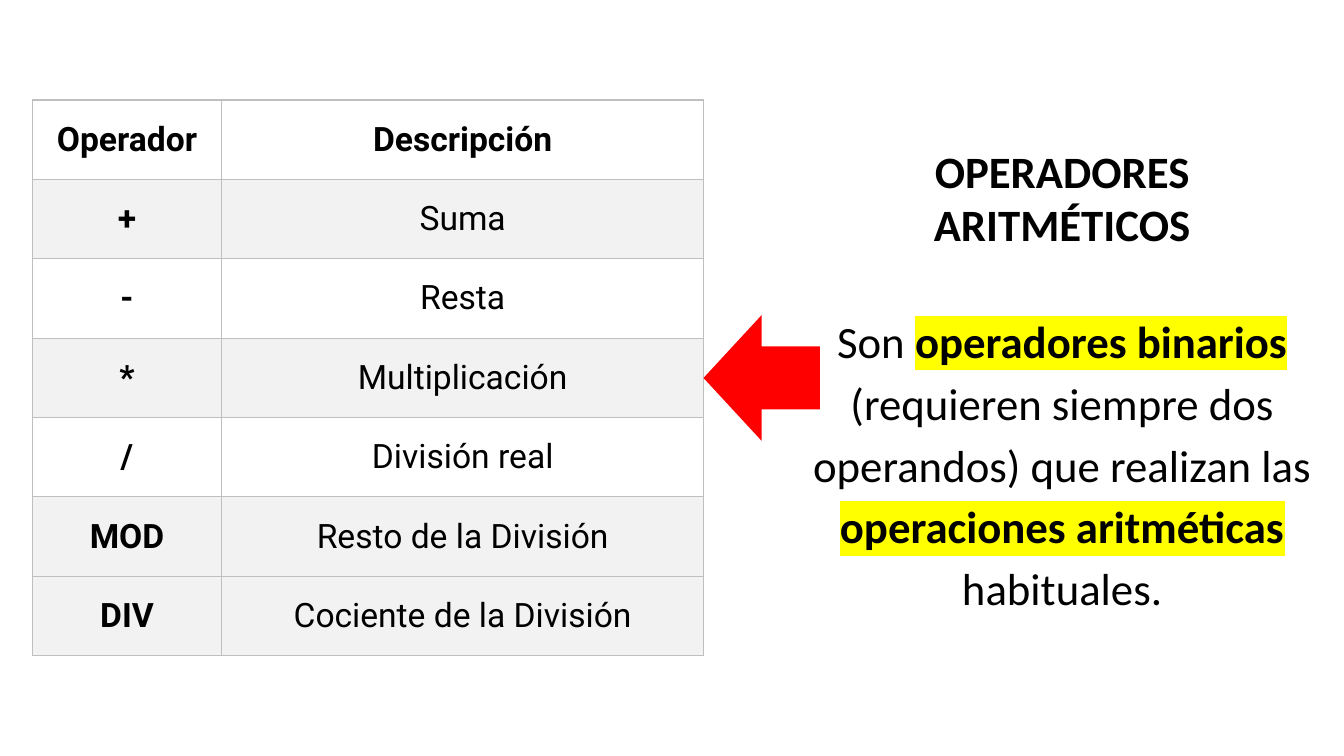
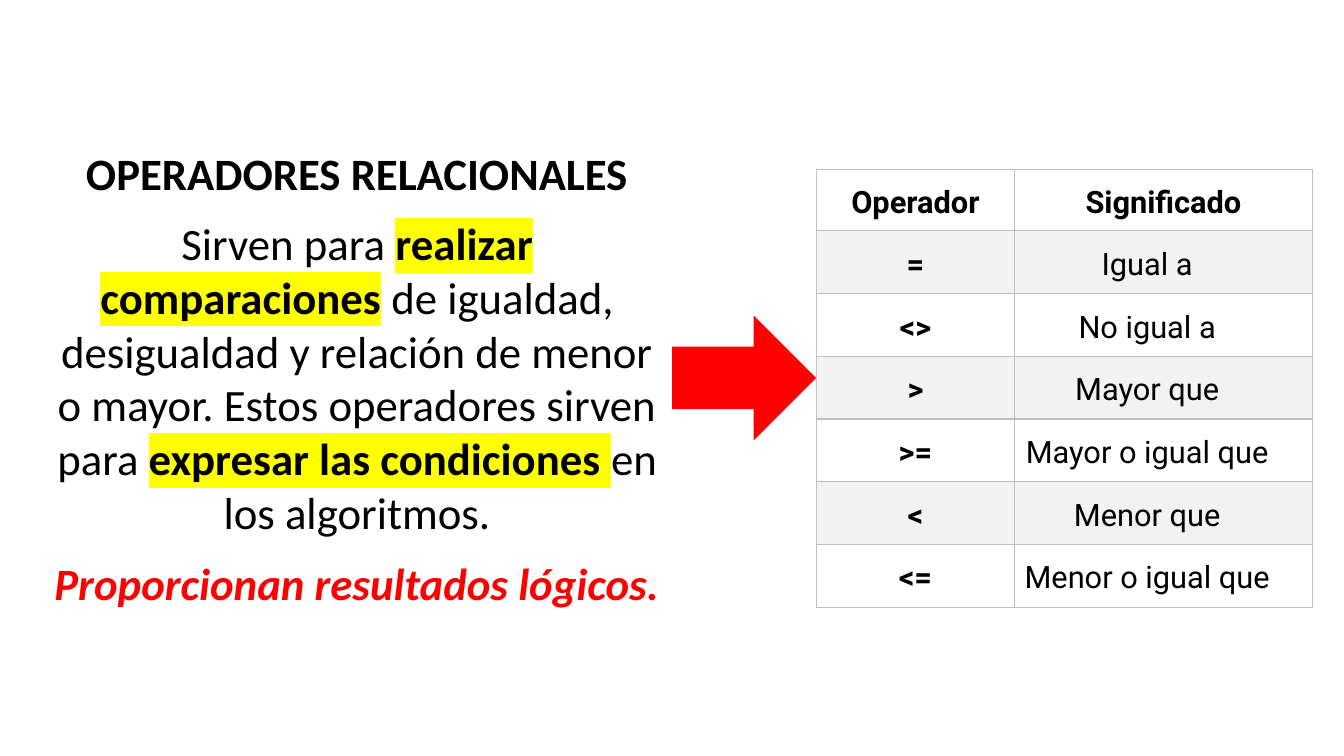
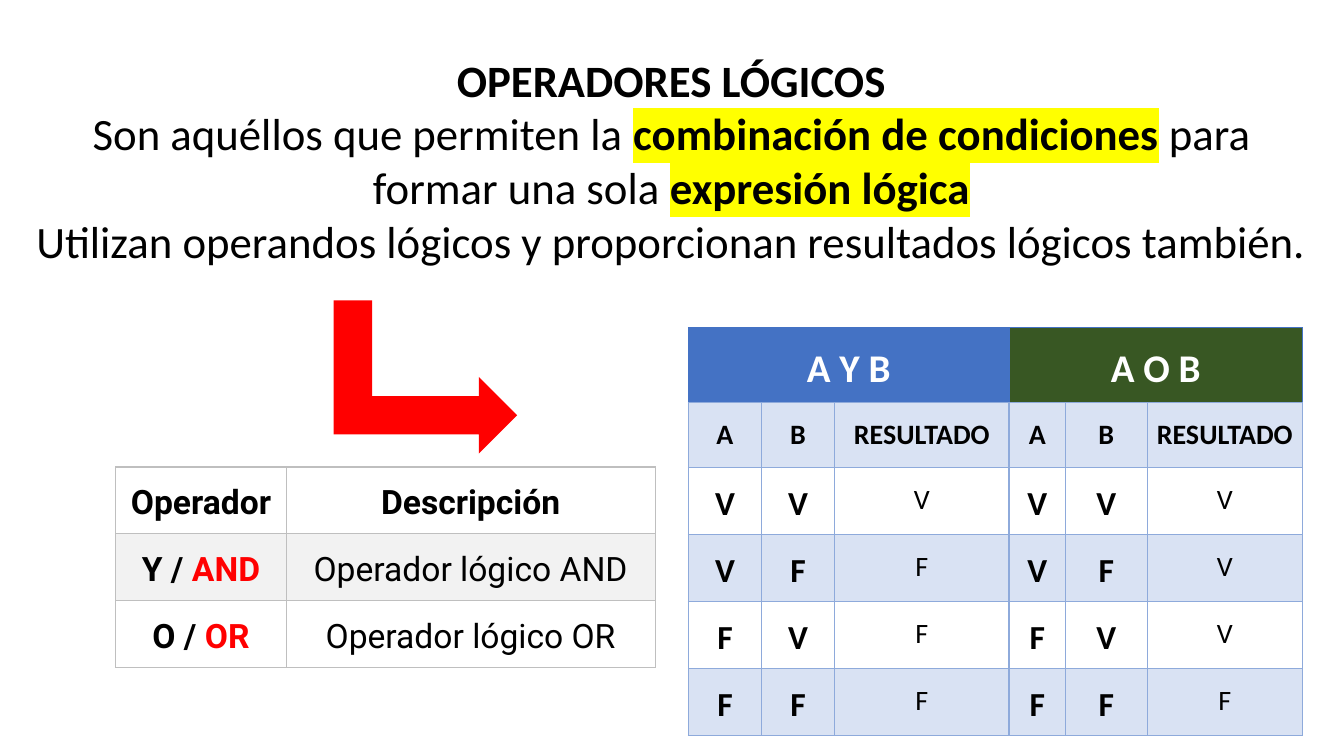
import pptx
import pptx.dml.color
import pptx.enum.shapes
import pptx.enum.text
import pptx.oxml
import pptx.oxml.ns
import pptx.util
from pptx.util import Cm

BLACK, WHITE, RED, YELLOW = "000000", "FFFFFF", "FF0000", "FFFF00"
GREY_BAND, GREY_LINE = "F2F2F2", "BFBFBF"
BLUE, GREEN, BLUE_BAND, BLUE_LINE = "4472C4", "385723", "D9E2F3", "8EAADB"
TEXT_FONT, TABLE_FONT = "Calibri", "Roboto"

KEY = {"bold": True, "highlight": YELLOW}
ALERT = {"color": RED}
ANCHOR = pptx.enum.text.MSO_ANCHOR
ARROW = pptx.enum.shapes.MSO_SHAPE


def rgb(hex_colour):
    return pptx.dml.color.RGBColor.from_string(hex_colour)


def set_all(target, values):
    for name, value in values.items():
        setattr(target, name, value)


def operator_format(size, spacing=1.0, meaning_right=0.18, shaded=None):
    """Return the format rule of an operator table: bold header and first column."""
    def rule(row, column):
        band = row % 2 == 1 if shaded is None else row in shaded
        return {
            "font": {"name": TABLE_FONT, "size": size, "bold": row == 0 or column == 0},
            "spacing": spacing,
            "right": meaning_right if row and column else 0.18,
            "anchor": ANCHOR.MIDDLE,
            "fill": GREY_BAND if band else None,
            "line": GREY_LINE,
        }
    return rule


def truth_format(row, column):
    if row == 0:
        fill = BLUE if column < 3 else GREEN
    else:
        fill = BLUE_BAND if row % 2 else None
    is_result = row > 1 and column % 3 == 2
    size = 28 if row == 0 else 20 if row == 1 or is_result else 24
    return {
        "font": {"name": TEXT_FONT, "size": size, "bold": not is_result,
                 "color": BLACK if row else WHITE},
        "spacing": 1.15,
        "right": 0.18,
        "anchor": ANCHOR.TOP,
        "fill": fill,
        "line": BLUE_LINE if row else BLUE,
    }


class Deck:
    def __init__(self):
        self.presentation = pptx.Presentation()
        self.presentation.slide_width = Cm(33.87)
        self.presentation.slide_height = Cm(19.05)
        self.slide = None

    def add_slide(self):
        layout = self.presentation.slide_layouts[5]
        self.slide = self.presentation.slides.add_slide(layout)

    def fill_paragraph(self, paragraph, content, base, spacing=1.0, after=0):
        """Fill a paragraph from a string or from (text, changes) runs."""
        set_all(paragraph, {
            "alignment": pptx.enum.text.PP_ALIGN.CENTER,
            "line_spacing": spacing,
            "space_before": pptx.util.Pt(0),
            "space_after": pptx.util.Pt(after),
        })
        runs = [(content, {})] if isinstance(content, str) else content
        for text, changes in runs:
            style = {"color": BLACK, **base, **changes}
            run = paragraph.add_run()
            run.text = text
            run.font.color.rgb = rgb(style.pop("color"))
            highlight = style.pop("highlight", None)
            style["size"] = pptx.util.Pt(style["size"])
            set_all(run.font, style)
            if highlight:
                mark = pptx.oxml.parse_xml(
                    f'<a:highlight {pptx.oxml.ns.nsdecls("a")}>'
                    f'<a:srgbClr val="{highlight}"/></a:highlight>')
                fill = run.font._element.find(pptx.oxml.ns.qn("a:solidFill"))
                fill.addnext(mark)

    def fill_frame(self, frame, paragraphs, bold, **spacing):
        set_all(frame, {
            "word_wrap": True,
            "auto_size": pptx.enum.text.MSO_AUTO_SIZE.NONE,
            "vertical_anchor": ANCHOR.TOP,
            "margin_left": Cm(0.25), "margin_right": Cm(0.25),
            "margin_top": 0, "margin_bottom": 0,
        })
        base = {"name": TEXT_FONT, "size": 32, "bold": bold}
        for index, content in enumerate(paragraphs):
            paragraph = frame.add_paragraph() if index else frame.paragraphs[0]
            self.fill_paragraph(paragraph, content, base, **spacing)

    def title(self, left, top, width, height, *lines):
        title = self.slide.shapes.title
        set_all(title, {"left": Cm(left), "top": Cm(top),
                        "width": Cm(width), "height": Cm(height)})
        self.fill_frame(title.text_frame, lines, True)

    def body(self, left, top, width, height, *paragraphs, **spacing):
        box = self.slide.shapes.add_textbox(Cm(left), Cm(top), Cm(width), Cm(height))
        self.fill_frame(box.text_frame, paragraphs, False, **spacing)

    def arrow(self, kind, left, top, width, height, rotation=0):
        arrow = self.slide.shapes.add_shape(kind, Cm(left), Cm(top), Cm(width), Cm(height))
        arrow.shadow.inherit = False
        arrow.fill.solid()
        arrow.fill.fore_color.rgb = rgb(RED)
        arrow.line.fill.background()
        arrow.rotation = rotation

    def borders(self, cell, colour):
        properties = cell._tc.get_or_add_tcPr()
        for index, side in enumerate("LRTB"):
            properties.insert(index, pptx.oxml.parse_xml(
                f'<a:ln{side} {pptx.oxml.ns.nsdecls("a")} w="12700"><a:solidFill>'
                f'<a:srgbClr val="{colour}"/></a:solidFill></a:ln{side}>'))

    def table(self, left, top, widths, heights, rows, rule, merges=()):
        """Draw rows; rule(row, column) gives each cell's format."""
        table = self.slide.shapes.add_table(
            len(rows), len(widths), Cm(left), Cm(top),
            Cm(sum(widths)), Cm(sum(heights))).table
        table.first_row = table.horz_banding = False
        for column, width in zip(table.columns, widths):
            column.width = Cm(width)
        for row, height in zip(table.rows, heights):
            row.height = Cm(height)
        for first, last in merges:
            table.cell(*first).merge(table.cell(*last))
        for r, row in enumerate(rows):
            for c, content in enumerate(row):
                cell, style = table.cell(r, c), rule(r, c)
                set_all(cell, {
                    "vertical_anchor": style["anchor"],
                    "margin_left": Cm(0.18), "margin_right": Cm(style["right"]),
                    "margin_top": Cm(0.25), "margin_bottom": Cm(0.25),
                })
                if style["fill"]:
                    cell.fill.solid()
                    cell.fill.fore_color.rgb = rgb(style["fill"])
                else:
                    cell.fill.background()
                self.borders(cell, style["line"])
                if content:
                    self.fill_paragraph(cell.text_frame.paragraphs[0], content,
                                        style["font"], style["spacing"])


def arithmetic_slide(deck):
    deck.add_slide()
    deck.title(20.02, 3.61, 13.5, 2.8, "OPERADORES", "ARITMÉTICOS")
    deck.body(20.02, 7.7, 13.5, 8, [
        ("Son ", {}), ("operadores binarios", KEY),
        (" (requieren siempre dos operandos) que realizan las ", {}),
        ("operaciones aritméticas", KEY), (" habituales.", {}),
    ], spacing=1.15)
    deck.table(0.81, 2.52, [4.78, 12.14], [2] * 7, [
        ("Operador", "Descripción"),
        ("+", "Suma"),
        ("-", "Resta"),
        ("*", "Multiplicación"),
        ("/", "División real"),
        ("MOD", "Resto de la División"),
        ("DIV", "Cociente de la División"),
    ], operator_format(24, shaded=(1, 3, 5, 6)))
    deck.arrow(ARROW.LEFT_ARROW, 17.73, 7.94, 2.93, 3.17)


def relational_slide(deck):
    deck.add_slide()
    deck.title(1.09, 3.66, 15.82, 1.4, "OPERADORES RELACIONALES")
    deck.body(1.09, 5.44, 15.82, 10.1, [
        ("Sirven para ", {}), ("realizar comparaciones", KEY),
        (" de igualdad, desigualdad y relación de menor o mayor."
         " Estos operadores sirven para ", {}),
        ("expresar las condiciones ", KEY), ("en los algoritmos.", {}),
    ], [
        ("Proporcionan resultados lógicos.", {**ALERT, "bold": True, "italic": True}),
    ], after=12)
    deck.table(20.57, 4.27, [5, 7.5], [1.51] + [1.58] * 6, [
        ("Operador", "Significado"),
        ("=", "Igual a"),
        ("<>", "No igual a"),
        (">", "Mayor que"),
        (">=", "Mayor o igual que"),
        ("<", "Menor que"),
        ("<=", "Menor o igual que"),
    ], operator_format(22, spacing=1.15, meaning_right=1))
    deck.arrow(ARROW.RIGHT_ARROW, 16.94, 7.95, 3.63, 3.15)


def logical_slide(deck):
    deck.add_slide()
    deck.title(0.51, 1.32, 32.82, 1.35, "OPERADORES LÓGICOS")
    deck.body(0.51, 2.67, 32.82, 4.2, [
        ("Son aquéllos que permiten la ", {}), ("combinación de condiciones", KEY),
        (" para formar una sola ", {}), ("expresión lógica", KEY),
    ], "Utilizan operandos lógicos y proporcionan resultados lógicos también.")
    deck.table(2.92, 11.77, [4.29, 9.3], [1.68] * 3, [
        ("Operador", "Descripción"),
        ([("Y / ", {}), ("AND", ALERT)], "Operador lógico AND"),
        ([("O / ", {}), ("OR", ALERT)], "Operador lógico OR"),
    ], operator_format(24, spacing=1.15))

    operands = [(a, b) for a in "VF" for b in "VF"]
    truth_rows = [
        (a, b, "V" if a == b == "V" else "F", a, b, "V" if "V" in (a, b) else "F")
        for a, b in operands
    ]
    deck.table(17.35, 8.26, [1.84, 1.84, 4.4, 1.42, 2.06, 3.91],
               [1.89, 1.64] + [1.68] * 4,
               [("A Y B", "", "", "A O B", "", ""),
                ("A", "B", "RESULTADO") * 2] + truth_rows,
               truth_format,
               merges=[((0, 0), (0, 2)), ((0, 3), (0, 5))])
    deck.arrow(ARROW.BENT_UP_ARROW, 8.79, 7.19, 3.86, 4.62, rotation=90)


def main():
    deck = Deck()
    for build in (arithmetic_slide, relational_slide, logical_slide):
        build(deck)
    deck.presentation.save("out.pptx")


if __name__ == "__main__":
    main()
